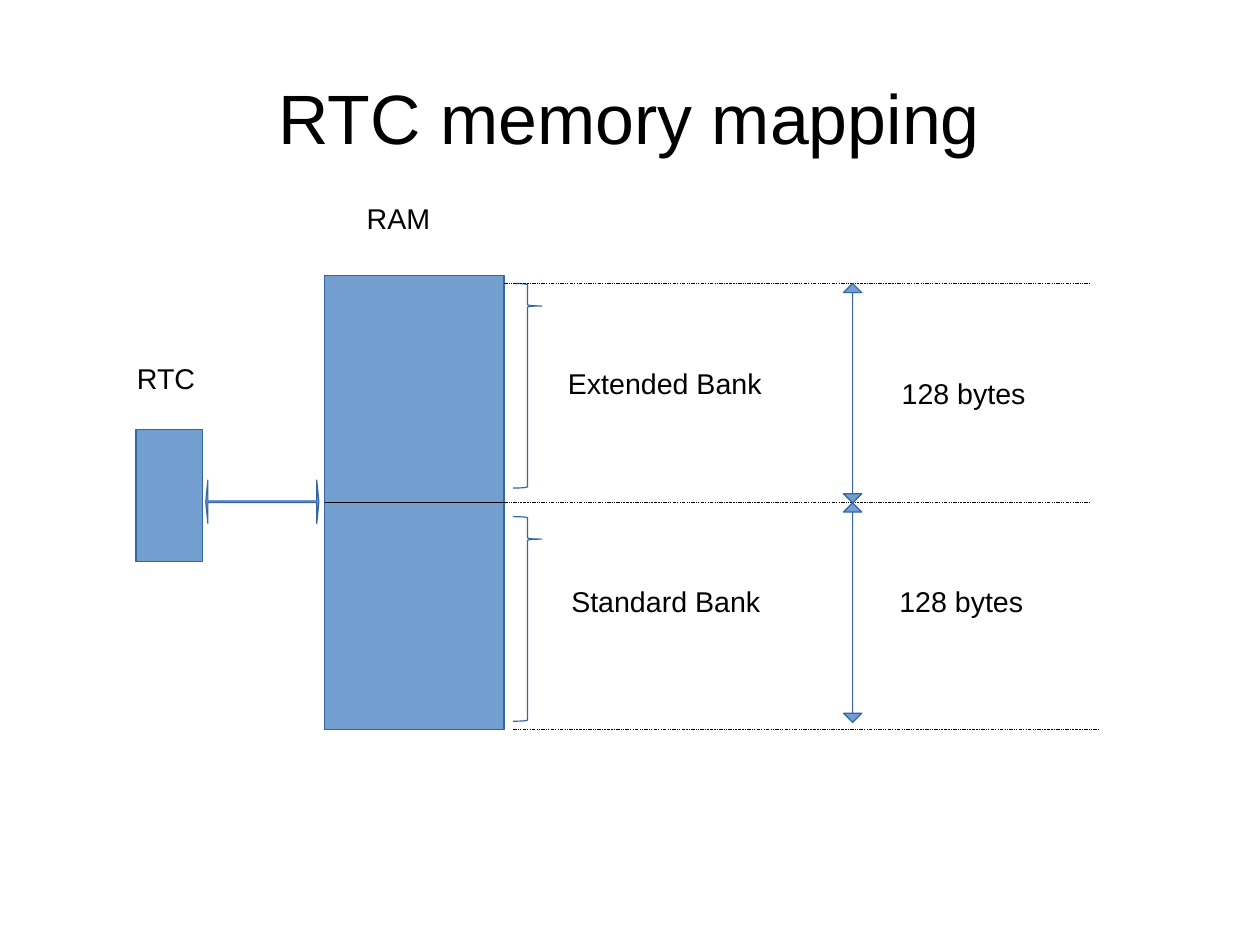
from lxml import etree
from pptx import Presentation
from pptx.dml.color import RGBColor
from pptx.enum.shapes import MSO_CONNECTOR, MSO_SHAPE as SHAPE
from pptx.enum.text import MSO_ANCHOR, PP_ALIGN
from pptx.oxml.ns import qn
from pptx.util import Cm, Inches, Pt

# Content: text, then left, top, width, height in inches
TITLE = "RTC memory mapping"
LABELS = [
    ("RAM", 3.11, 1.71, 0.79, 0.64),
    ("RTC", 1.1, 3.11, 0.74, 0.62),
    ("Extended Bank", 4.87, 3.15, 1.98, 0.61),
    ("Standard Bank", 4.9, 5.06, 1.94, 0.62),
    ("128 bytes", 7.79, 3.24, 1.34, 0.62),
    ("128 bytes", 7.77, 5.06, 1.34, 0.62),
]
RTC_BOX = (1.19, 3.76, 0.58, 1.15)
RAM_BOX = (2.84, 2.41, 1.57, 3.97)
BUS_ARROW = (1.8, 4.2, 0.99, 0.38)
BRACE_TOPS = [2.48, 4.52]
BANK_TOP, BANK_SIZE = 2.48, 1.92
BOUNDARY_LEN = 5.12
FILL, BLUE, BLACK = "729FCF", "3465A4", "000000"


def color(value):
    return RGBColor.from_string(value)


def write(tf, text, size=18, align=PP_ALIGN.LEFT, anchor=MSO_ANCHOR.TOP,
          margins=(0.1, 0.05)):
    tf.word_wrap = True
    tf.vertical_anchor = anchor
    tf.margin_left = tf.margin_right = Inches(margins[0])
    tf.margin_top = tf.margin_bottom = Inches(margins[1])
    p = tf.paragraphs[0]
    p.alignment = align
    r = p.add_run()
    r.text = text
    r.font.size = Pt(size)
    r.font.name = "Arial"
    r.font.color.rgb = color(BLACK)


def add_shape(kind, box, adjustments=(), fill=FILL):
    sp = s.shapes.add_shape(kind, *map(Inches, box))
    sp.shadow.inherit = False
    for i, value in enumerate(adjustments):
        sp.adjustments[i] = value
    if fill:
        sp.fill.solid()
        sp.fill.fore_color.rgb = color(fill)
    else:
        sp.fill.background()
    sp.line.color.rgb = color(BLUE)
    sp.line.width = Pt(0.75)
    return sp


def add_line(x1, x2, y, dash=None):
    line = s.shapes.add_connector(
        MSO_CONNECTOR.STRAIGHT, *map(Inches, (x1, y, x2, y)))
    line.line.color.rgb = color(BLACK)
    line.line.width = Pt(0.75)
    sp_pr = line._element.spPr
    if dash:
        etree.SubElement(sp_pr.find(qn("a:ln")), qn("a:prstDash"), val=dash)
    etree.SubElement(sp_pr, qn("a:effectLst"))
    return line


prs = Presentation()
prs.slide_width, prs.slide_height = Cm(28), Cm(21)
s = prs.slides.add_slide(prs.slide_layouts[5])

# Title
title = s.shapes.title
title.left, title.top, title.width, title.height = map(
    Inches, (0.55, 0.33, 9.92, 1.38))
write(title.text_frame, TITLE, size=44, align=PP_ALIGN.CENTER,
      anchor=MSO_ANCHOR.MIDDLE, margins=(0, 0))

# RTC, bus and RAM
add_shape(SHAPE.RECTANGLE, RTC_BOX)
add_shape(SHAPE.LEFT_RIGHT_ARROW, BUS_ARROW, (0.04, 0.05))
ram = add_shape(SHAPE.RECTANGLE, RAM_BOX)

# Split between the two banks
ram_left, ram_top, ram_width, ram_height = RAM_BOX
ram_right = ram_left + ram_width
ram_middle = ram_top + ram_height / 2
split = add_line(ram_left, ram_right, ram_middle)
split.begin_connect(ram, 1)
split.end_connect(ram, 3)

# Bank braces
for top in BRACE_TOPS:
    add_shape(SHAPE.RIGHT_BRACE, (4.49, top, 0.25, 1.79), (0.04, 0.11), None)

# Dashed bank boundaries
for x, y in [(ram_right, BANK_TOP), (ram_right, ram_middle),
             (4.49, ram_top + ram_height)]:
    boundary = add_line(x, x + BOUNDARY_LEN, y, "sysDashDotDot")
    if y == ram_middle:
        boundary.begin_connect(ram, 3)

# Bank size arrows with flat heads
for i in range(2):
    add_shape(SHAPE.UP_DOWN_ARROW,
              (7.38, BANK_TOP + i * BANK_SIZE, 0.16, BANK_SIZE), (0.05, 0))

# Labels
for text, *box in LABELS:
    write(s.shapes.add_textbox(*map(Inches, box)).text_frame, text)

prs.save("out.pptx")
